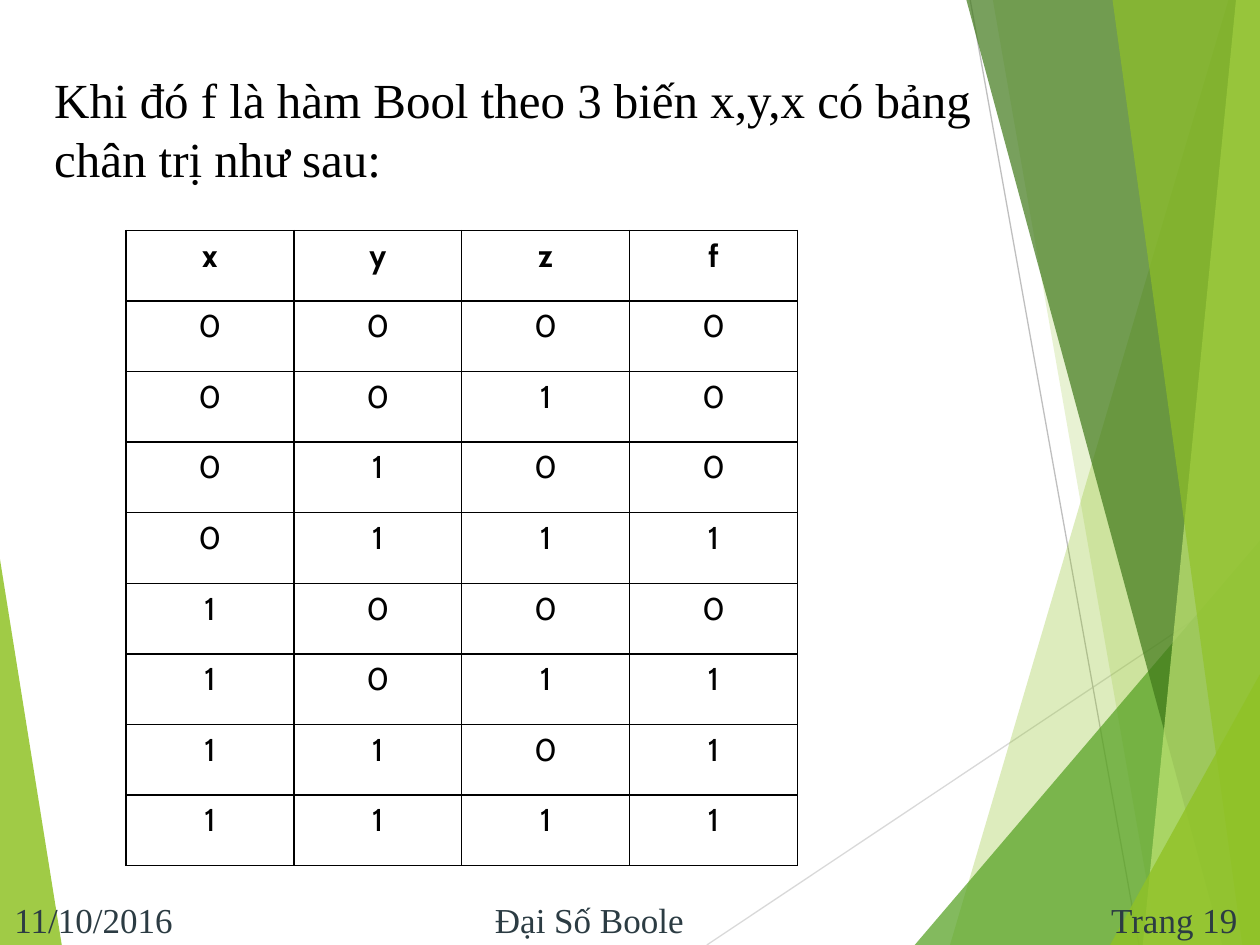
from collections import namedtuple
from itertools import product

from lxml.etree import SubElement
from pptx import Presentation
from pptx.dml.color import RGBColor
from pptx.enum.shapes import MSO_CONNECTOR as Connector
from pptx.enum.text import MSO_ANCHOR as Anchor, MSO_AUTO_SIZE as AutoSize, PP_ALIGN as Align
from pptx.oxml.ns import qn
from pptx.util import Inches, Pt

COLUMNS, ROWS = 1000, 750
UNIT = Inches(10) // COLUMNS
SERIF, SANS = "Times New Roman", "Cabin"
COLORS = {
    "lime": "90C226", "green": "54A021", "forest": "3F7819", "pale": "C0E474",
    "light_gray": "D9D9D9", "gray": "BFBFBF", "black": "000000", "slate": "2C3C43",
}

Box = namedtuple("Box", "left top width height")


def color(name):
    return RGBColor.from_string(COLORS[name])


def lengths(box):
    return [UNIT * value for value in box]


def add_span(para, text, size, font, tint, bold=False):
    span = para.add_run()
    span.text = text
    span.font.size = Pt(size)
    span.font.name = font
    span.font.bold = bold
    span.font.color.rgb = color(tint)


def add_facet(page, box, points, tint, opacity):
    placed = [(box.left + x, box.top + y) for x, y in points]
    builder = page.shapes.build_freeform(*placed[0], scale=UNIT)
    builder.add_line_segments(placed[1:], close=True)
    facet = builder.convert_to_shape()
    facet.shadow.inherit = False
    facet.line.fill.background()
    facet.fill.solid()
    facet.fill.fore_color.rgb = color(tint)
    swatch = facet._element.spPr.find(qn("a:solidFill")).find(qn("a:srgbClr"))
    SubElement(swatch, qn("a:alpha"), val=str(opacity * 1000))


def add_ray(page, box, start, end, tint):
    ends = [UNIT * (offset + value)
            for point in (start, end)
            for offset, value in zip((box.left, box.top), point)]
    ray = page.shapes.add_connector(Connector.STRAIGHT, *ends)
    ray.line.color.rgb = color(tint)
    ray.line.width = Pt(0.75)
    SubElement(ray._element.spPr, qn("a:effectLst"))


def add_left_wedge(page, box):
    corners = [(0, 0), (box.width, box.height), (0, box.height)]
    add_facet(page, box, corners, "lime", 85)


def add_right_wing(page, box):
    right, bottom = box.width, box.height
    add_ray(page, box, (0, bottom), (right, 457), "light_gray")
    add_ray(page, box, (209, 0), (343, bottom), "gray")
    for top_x, bottom_x, tint, opacity in [
        (414, 193, "lime", 30),
        (227, 358, "lime", 20),
        (None, 165, "green", 72),
        (206, 409, "forest", 70),
        (420, 346, "pale", 70),
        (322, 425, "lime", 65),
        (None, 320, "lime", 80),
    ]:
        if top_x is None:
            peak = 429 if tint == "green" else 535
            points = [(bottom_x, bottom), (right, peak), (right, bottom)]
        else:
            points = [(top_x, 0), (bottom_x, bottom), (right, bottom), (right, 0)]
        add_facet(page, box, points, tint, opacity)


def set_heading(page, box, text):
    title = page.shapes.title
    title.left, title.top, title.width, title.height = lengths(box)
    frame = title.text_frame
    frame.word_wrap = True
    frame.auto_size = AutoSize.NONE
    frame.vertical_anchor = Anchor.TOP
    para = frame.paragraphs[0]
    para.alignment = Align.LEFT
    add_span(para, text, 28, SERIF, "black")


def draw_borders(cell):
    properties = cell._tc.get_or_add_tcPr()
    for position, side in enumerate(("lnL", "lnR", "lnT", "lnB")):
        border = SubElement(properties, qn(f"a:{side}"), w=str(Pt(1)))
        fill = SubElement(border, qn("a:solidFill"))
        SubElement(fill, qn("a:srgbClr"), val=COLORS["black"])
        properties.insert(position, border)


def add_truth_table(page, box):
    inputs = product((0, 1), repeat=3)
    rows = [("x", "y", "z", "f")]
    rows += [(x, y, z, int(x and (y or z) or y and z)) for x, y, z in inputs]
    table = page.shapes.add_table(len(rows), len(rows[0]), *lengths(box)).table
    table.horz_banding = False
    table.first_row = False
    for column in table.columns:
        column.width = UNIT * box.width // len(rows[0])
    for row in table.rows:
        row.height = UNIT * box.height // len(rows)
    for row_index, values in enumerate(rows):
        for column_index, value in enumerate(values):
            cell = table.cell(row_index, column_index)
            cell.fill.background()
            draw_borders(cell)
            para = cell.text_frame.paragraphs[0]
            para.alignment = Align.CENTER
            add_span(para, str(value), 18, SANS, "black", bold=row_index == 0)


def add_footer(page, box):
    for left, width, text, alignment in [
        (0, 147, "11/10/2016", Align.RIGHT),
        (383, 193, "Đại Số Boole", Align.LEFT),
        (858, 134, "Trang 19", Align.RIGHT),
    ]:
        place = Box(box.left + left, box.top, width, box.height)
        frame = page.shapes.add_textbox(*lengths(place)).text_frame
        frame.word_wrap = True
        frame.vertical_anchor = Anchor.MIDDLE
        para = frame.paragraphs[0]
        para.alignment = alignment
        add_span(para, text, 20, SERIF, "slate")


def main():
    deck = Presentation()
    deck.slide_width, deck.slide_height = UNIT * COLUMNS, UNIT * ROWS
    page = deck.slides.add_slide(deck.slide_layouts[5])
    add_left_wedge(page, Box(0, 444, 49, 306))
    add_right_wing(page, Box(561, 0, 439, ROWS))
    set_heading(page, Box(33, 50, 808, 104),
                "Khi đó f là hàm Bool theo 3 biến x,y,x có bảng chân trị như sau:")
    add_truth_table(page, Box(100, 183, 533, 504))
    add_footer(page, Box(0, 710, COLUMNS, 40))
    deck.save("out.pptx")


if __name__ == "__main__":
    main()
